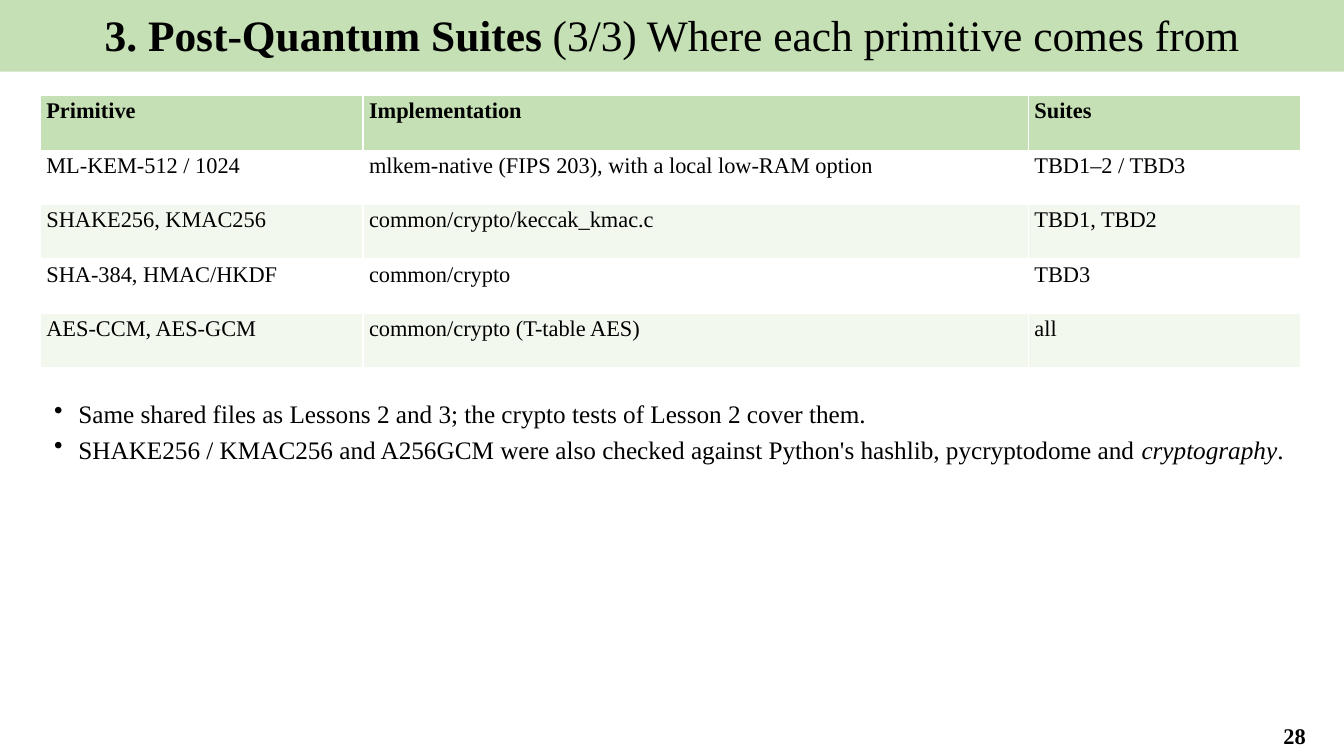
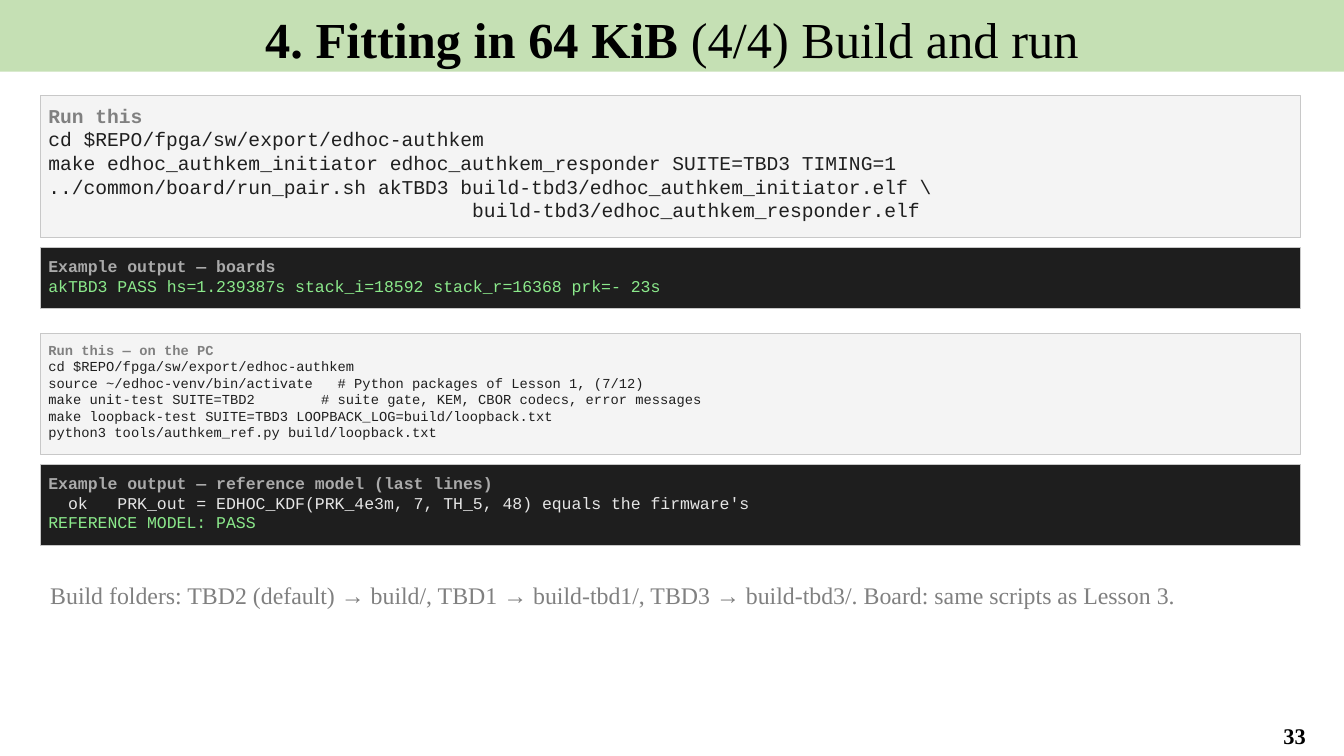
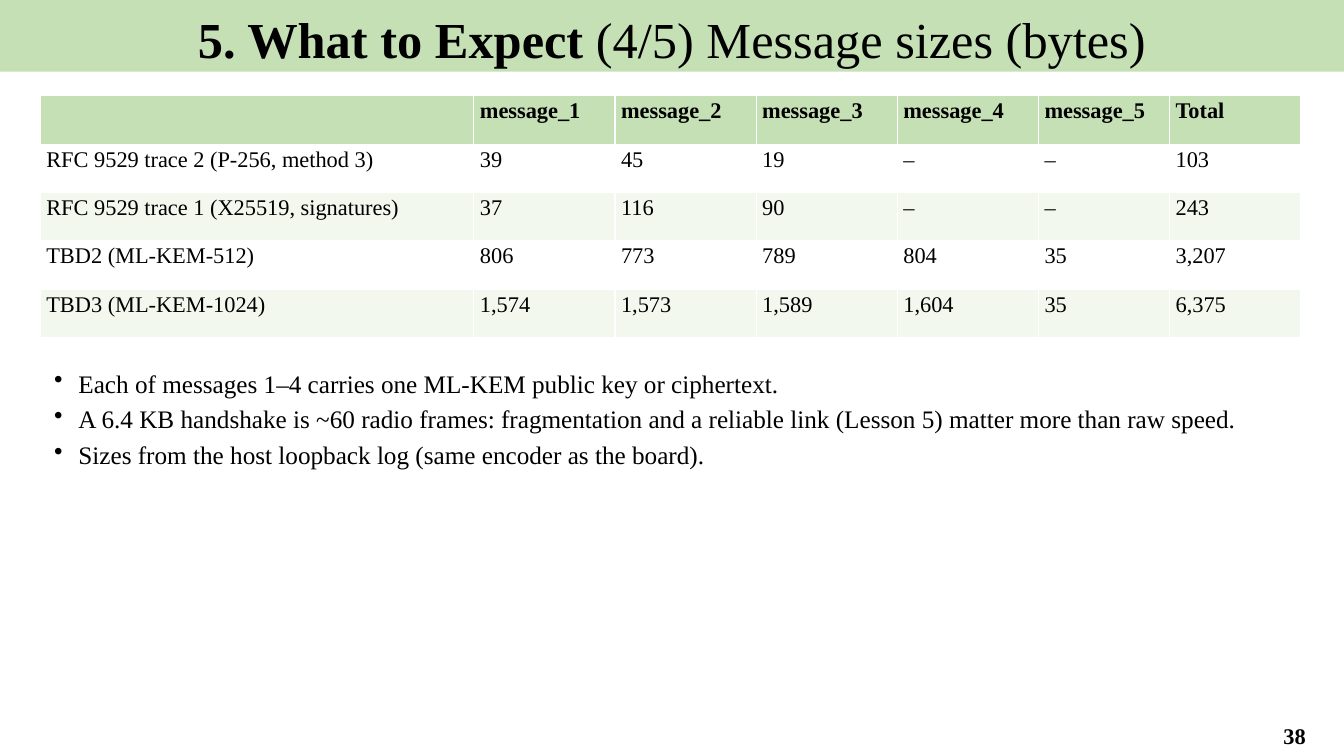
from pptx import Presentation
from pptx.dml.color import RGBColor
from pptx.enum.shapes import MSO_SHAPE
from pptx.enum.text import MSO_ANCHOR, PP_ALIGN
from pptx.oxml.ns import qn
from pptx.util import Inches, Pt

RECT = MSO_SHAPE.RECTANGLE
TOP, MIDDLE = MSO_ANCHOR.TOP, MSO_ANCHOR.MIDDLE
LEFT, CENTER = PP_ALIGN.LEFT, PP_ALIGN.CENTER

SERIF, MONO = "Times New Roman", "Courier New"
BLACK, WHITE, GREY = "000000", "FFFFFF", "808080"
GREEN, PALE = "C5E0B4", "F2F8EE"
CODE, PLAIN, PASS = "1F1F1F", "E6E6E6", "8BE98B"
PANELS = {"run": ("F4F4F4", GREY), "output": ("1E1E1E", "AAAAAA")}

SLIDE_W, SLIDE_H = 13.33, 7.5
MARGIN, BODY_TOP, BODY_W = 0.4, 0.95, 12.5
BAND_H = 0.71

PRIMITIVES = {
    "title": ("3. Post-Quantum Suites ", "(3/3) Where each primitive comes from"),
    "title_size": 31,
    "page": 28,
    "cols": [3.2, 6.6, 2.7],
    "row_h": 0.54,
    "rows": [
        ("Primitive", "Implementation", "Suites"),
        ("ML-KEM-512 / 1024", "mlkem-native (FIPS 203), with a local low-RAM option", "TBD1–2 / TBD3"),
        ("SHAKE256, KMAC256", "common/crypto/keccak_kmac.c", "TBD1, TBD2"),
        ("SHA-384, HMAC/HKDF", "common/crypto", "TBD3"),
        ("AES-CCM, AES-GCM", "common/crypto (T-table AES)", "all"),
    ],
    "bullets_h": 2,
    "bullets": [
        [("Same shared files as Lessons 2 and 3; the crypto tests of Lesson 2 cover them.", False)],
        [("SHAKE256 / KMAC256 and A256GCM were also checked against Python's hashlib, pycryptodome and ", False),
         ("cryptography", True), (".", False)],
    ],
}

BUILD = {
    "title": ("4. Fitting in 64 KiB ", "(4/4) Build and run"),
    "title_size": 36,
    "page": 33,
    "panels": [
        ("run", 1.41, 0.1, 14, "Run this", [
            ("cd $REPO/fpga/sw/export/edhoc-authkem", CODE),
            ("make edhoc_authkem_initiator edhoc_authkem_responder SUITE=TBD3 TIMING=1", CODE),
            ("../common/board/run_pair.sh akTBD3 build-tbd3/edhoc_authkem_initiator.elf \\", CODE),
            ("                                    build-tbd3/edhoc_authkem_responder.elf", CODE),
        ]),
        ("output", 0.6, 0.25, 11.8, "Example output — boards", [
            ("akTBD3 PASS hs=1.239387s stack_i=18592 stack_r=16368 prk=- 23s", PASS),
        ]),
        ("run", 1.2, 0.1, 9.8, "Run this — on the PC", [
            ("cd $REPO/fpga/sw/export/edhoc-authkem", CODE),
            ("source ~/edhoc-venv/bin/activate   # Python packages of Lesson 1, (7/12)", CODE),
            ("make unit-test SUITE=TBD2        # suite gate, KEM, CBOR codecs, error messages", CODE),
            ("make loopback-test SUITE=TBD3 LOOPBACK_LOG=build/loopback.txt", CODE),
            ("python3 tools/authkem_ref.py build/loopback.txt", CODE),
        ]),
        ("output", 0.8, 0.3, 11.8, "Example output — reference model (last lines)", [
            ("  ok   PRK_out = EDHOC_KDF(PRK_4e3m, 7, TH_5, 48) equals the firmware's", PLAIN),
            ("REFERENCE MODEL: PASS", PASS),
        ]),
    ],
    "note": "Build folders: TBD2 (default) → build/, TBD1 → build-tbd1/, TBD3 → build-tbd3/. "
            "Board: same scripts as Lesson 3.",
}

SIZES = {
    "title": ("5. What to Expect ", "(4/5) Message sizes (bytes)"),
    "title_size": 36,
    "page": 38,
    "cols": [4.3, 1.4, 1.4, 1.4, 1.4, 1.3, 1.3],
    "row_h": 0.48,
    "rows": [
        ("", "message_1", "message_2", "message_3", "message_4", "message_5", "Total"),
        ("RFC 9529 trace 2 (P-256, method 3)", "39", "45", "19", "–", "–", "103"),
        ("RFC 9529 trace 1 (X25519, signatures)", "37", "116", "90", "–", "–", "243"),
        ("TBD2 (ML-KEM-512)", "806", "773", "789", "804", "35", "3,207"),
        ("TBD3 (ML-KEM-1024)", "1,574", "1,573", "1,589", "1,604", "35", "6,375"),
    ],
    "bullets_h": 2.6,
    "bullets": [
        [("Each of messages 1–4 carries one ML-KEM public key or ciphertext.", False)],
        [("A 6.4 KB handshake is ~60 radio frames: fragmentation and a reliable link (Lesson 5) "
          "matter more than raw speed.", False)],
        [("Sizes from the host loopback log (same encoder as the board).", False)],
    ],
}


def rgb(color):
    return RGBColor.from_string(color)


def add_run(p, text, size, color=BLACK, font=SERIF, bold=False, italic=False):
    r = p.add_run()
    r.text = text
    r.font.name, r.font.size = font, Pt(size)
    r.font.bold, r.font.italic = bold, italic
    r.font.color.rgb = rgb(color)


def set_frame(tf, anchor=TOP, margins=(0.1, 0.05, 0.1, 0.05)):
    tf.word_wrap = True
    tf.vertical_anchor = anchor
    tf.margin_left, tf.margin_top, tf.margin_right, tf.margin_bottom = map(Inches, margins)
    return tf


def add_box(s, x, y, w, h, fill, line=None):
    sp = s.shapes.add_shape(RECT, Inches(x), Inches(y), Inches(w), Inches(h))
    sp.shadow.inherit = False
    sp.fill.solid()
    sp.fill.fore_color.rgb = rgb(fill)
    if line:
        sp.line.color.rgb = rgb(line)
        sp.line.width = Pt(0.75)
    else:
        sp.line.fill.background()
    return sp.text_frame


def add_text(s, x, y, w, h, anchor=TOP):
    sp = s.shapes.add_textbox(Inches(x), Inches(y), Inches(w), Inches(h))
    return set_frame(sp.text_frame, anchor)


def paragraphs(tf, items):
    for i, item in enumerate(items):
        yield (tf.add_paragraph() if i else tf.paragraphs[0]), item


def add_base(prs, data):
    s = prs.slides.add_slide(prs.slide_layouts[6])
    tf = set_frame(add_box(s, 0, 0, SLIDE_W, BAND_H, GREEN), TOP, (0.1, 0.08, 0.1, 0.05))
    p = tf.paragraphs[0]
    p.alignment = CENTER
    for part, bold in zip(data["title"], (True, False)):
        add_run(p, part, data["title_size"], bold=bold)
    p = add_text(s, SLIDE_W - 0.98, 7.1, 0.98, 0.39, MIDDLE).paragraphs[0]
    p.alignment = CENTER
    add_run(p, str(data["page"]), 16, bold=True)
    return s


def add_grid(s, cols, row_h, rows):
    height = row_h * len(rows)
    table = s.shapes.add_table(len(rows), len(cols), Inches(MARGIN), Inches(BODY_TOP),
                               Inches(BODY_W), Inches(height)).table
    for col, width in zip(table.columns, cols):
        col.width = Inches(width)
    for i, row in enumerate(rows):
        fill = GREEN if i == 0 else WHITE if i % 2 else PALE
        for j, text in enumerate(row):
            cell = table.cell(i, j)
            cell.margin_left = cell.margin_right = Inches(0.06)
            cell.margin_top = cell.margin_bottom = Inches(0.03)
            cell.fill.solid()
            cell.fill.fore_color.rgb = rgb(fill)
            if text:
                add_run(cell.text_frame.paragraphs[0], text, 16, bold=i == 0)
    return BODY_TOP + height


def add_bullets(s, y, h, bullets):
    tf = add_text(s, MARGIN, y, BODY_W, h)
    for p, parts in paragraphs(tf, bullets):
        p.space_after = Pt(4)
        pPr = p._p.get_or_add_pPr()
        pPr.set("marL", str(Inches(0.28)))
        pPr.set("indent", str(Inches(-0.24)))
        bullet = pPr.makeelement(qn("a:buChar"), {"char": "•"})
        pPr.append(bullet)
        for text, italic in parts:
            add_run(p, text, 18, italic=italic)


def add_panel(s, y, h, kind, size, heading, lines):
    fill, heading_color = PANELS[kind]
    tf = set_frame(add_box(s, MARGIN, y, BODY_W, h, fill, "C8C8C8"), TOP, (0.08,) * 4)
    for p, (text, color) in paragraphs(tf, [(heading, heading_color)] + lines):
        p.alignment = LEFT
        add_run(p, text, size, color, MONO, bold=text == heading)


def table_slide(prs, data):
    s = add_base(prs, data)
    bottom = add_grid(s, data["cols"], data["row_h"], data["rows"])
    add_bullets(s, bottom + 0.25, data["bullets_h"], data["bullets"])


def code_slide(prs, data):
    s = add_base(prs, data)
    y = BODY_TOP
    for kind, h, gap, size, heading, lines in data["panels"]:
        add_panel(s, y, h, kind, size, heading, lines)
        y += h + gap
    p = add_text(s, MARGIN, y, BODY_W, 0.8).paragraphs[0]
    p.space_after = Pt(4)
    add_run(p, data["note"], 17, GREY)


def main():
    prs = Presentation()
    prs.slide_width, prs.slide_height = Inches(SLIDE_W), Inches(SLIDE_H)
    table_slide(prs, PRIMITIVES)
    code_slide(prs, BUILD)
    table_slide(prs, SIZES)
    prs.save("out.pptx")


if __name__ == "__main__":
    main()
